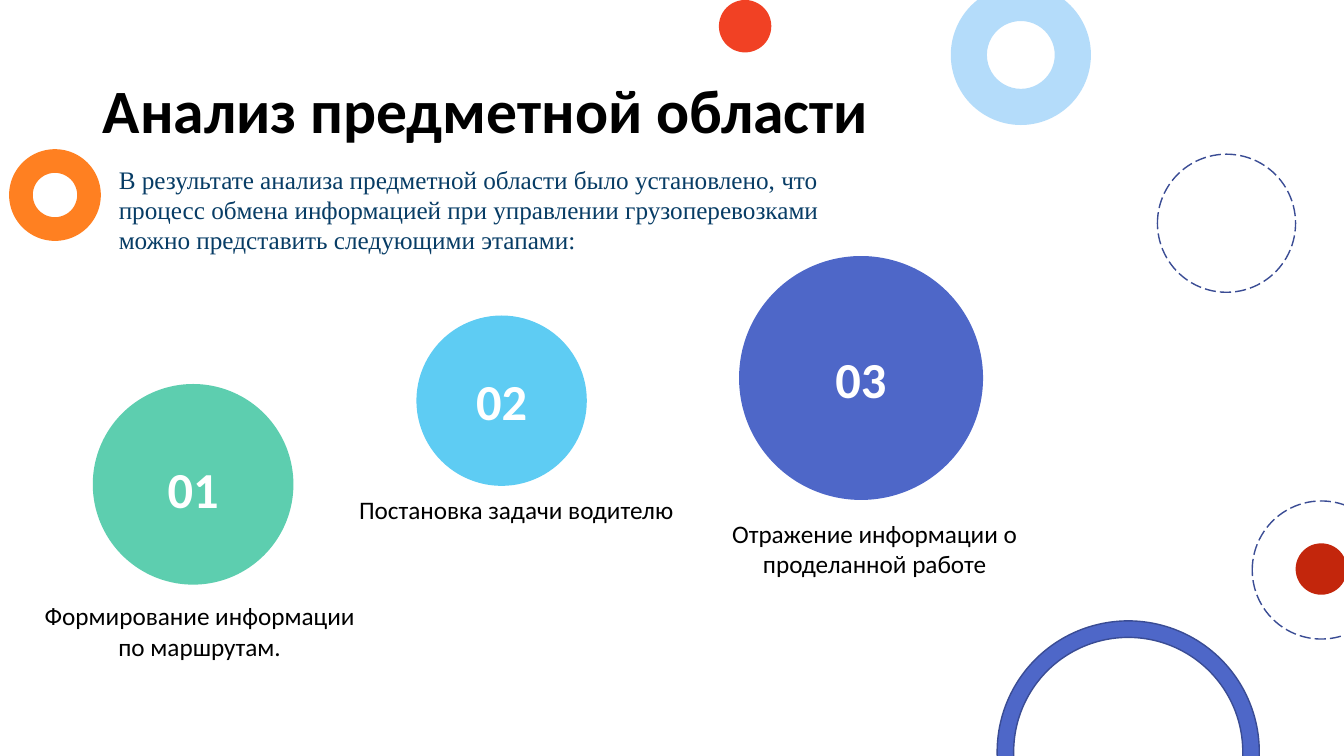
"""Build the slide on the analysis of the subject area."""
from dataclasses import dataclass

from pptx import Presentation
from pptx.dml.color import RGBColor
from pptx.enum.dml import MSO_LINE
from pptx.enum.shapes import MSO_SHAPE
from pptx.enum.text import MSO_ANCHOR, MSO_AUTO_SIZE, PP_ALIGN
from pptx.util import Inches, Pt

OVAL, RING = MSO_SHAPE.OVAL, MSO_SHAPE.DONUT
DASH = MSO_LINE.LONG_DASH
LEFT, MID = PP_ALIGN.LEFT, PP_ALIGN.CENTER
TOP, CENTER = MSO_ANCHOR.TOP, MSO_ANCHOR.MIDDLE
FIXED = MSO_AUTO_SIZE.NONE


@dataclass(frozen=True)
class Theme:
    sans: str = "Calibri"
    serif: str = "Times New Roman"
    head: int = 44
    mark: int = 36
    body: int = 18
    black: str = "000000"
    white: str = "FFFFFF"
    navy: str = "073C65"
    edge: str = "3A4C94"
    sky: str = "5ECCF3"
    mint: str = "5DCEAF"
    blue: str = "4E67C8"
    red: str = "F14124"
    brick: str = "C3260C"
    amber: str = "FF8021"
    pale: str = "B4DCFA"


THEME = Theme()
SIZE = (13.33, 7.5)
TITLE = ("Анализ предметной области", (0.92, 0.4, 11.5, 1.45))
INTRO = (
    "В результате анализа предметной области было установлено, что "
    "процесс обмена информацией при управлении грузоперевозками "
    "можно представить следующими этапами:",
    (1.08, 1.58, 7.34, 1.31),
)
MARK = (0.93, 0.71)
STEPS = [
    {"disc": (0.92, 3.81, 1.99), "fill": THEME.mint, "mark": 4.5,
     "text": "Формирование информации по маршрутам.",
     "box": (0.29, 5.91, 3.38, 1.01)},
    {"disc": (4.13, 3.13, 1.69), "fill": THEME.sky, "mark": 3.62,
     "text": "Постановка задачи водителю",
     "box": (3.36, 4.85, 3.52, 0.4)},
    {"disc": (7.33, 2.54, 2.42), "fill": THEME.blue, "mark": 3.4,
     "text": "Отражение информации о проделанной работе",
     "box": (7.16, 5.09, 3.03, 0.71)},
]
DECOR = [
    {"disc": (7.13, 0, 0.52), "fill": THEME.red},
    {"disc": (9.89, 6.16, 2.6), "fill": THEME.blue, "line": THEME.edge, "hole": 0.063},
    {"disc": (0.09, 1.48, 0.91), "fill": THEME.amber, "hole": 0.258},
    {"disc": (9.43, -0.15, 1.39), "fill": THEME.pale, "hole": 0.258},
    {"disc": (11.48, 1.53, 1.37), "line": THEME.edge, "dash": DASH},
    {"disc": (12.42, 4.97, 1.37), "line": THEME.edge, "dash": DASH},
    {"disc": (12.85, 5.39, 0.51), "fill": THEME.brick},
]


def color(code):
    """Turn a hex code into a colour."""
    return RGBColor.from_string(code)


def add_disc(slide, disc, fill=None, line=None, dash=None, hole=None):
    """Draw a round shape, with a hole if one is given."""
    left, top, side = map(Inches, disc)
    kind = RING if hole else OVAL
    shape = slide.shapes.add_shape(kind, left, top, side, side)
    shape.shadow.inherit = False
    if hole:
        shape.adjustments[0] = hole
    if fill:
        shape.fill.solid()
        shape.fill.fore_color.rgb = color(fill)
    else:
        shape.fill.background()
    if line:
        shape.line.color.rgb = color(line)
        shape.line.width = Pt(1)
        shape.line.dash_style = dash
    else:
        shape.line.fill.background()


def add_text(slide, text, box, holder=None, font=THEME.sans, size=THEME.body,
             tint=THEME.black, bold=False, align=MID, anchor=TOP, space=1.0):
    """Write text in a new box or in a given placeholder."""
    left, top, width, height = map(Inches, box)
    shape = holder or slide.shapes.add_textbox(left, top, width, height)
    shape.left, shape.top, shape.width, shape.height = left, top, width, height
    frame = shape.text_frame
    frame.word_wrap = True
    frame.auto_size = FIXED
    frame.vertical_anchor = anchor
    para = frame.paragraphs[0]
    para.alignment = align
    para.line_spacing = space
    run = para.add_run()
    run.text = text
    run.font.name = font
    run.font.size = Pt(size)
    run.font.bold = bold
    run.font.color.rgb = color(tint)


def main():
    """Lay out the slide and save it."""
    deck = Presentation()
    deck.slide_width, deck.slide_height = map(Inches, SIZE)
    slide = deck.slides.add_slide(deck.slide_layouts[5])
    add_text(slide, *TITLE, holder=slide.shapes.title, size=THEME.head,
             bold=True, align=LEFT, anchor=CENTER, space=0.9)
    for step in STEPS:
        add_disc(slide, step["disc"], fill=step["fill"])
        add_text(slide, step["text"], step["box"])
    for item in DECOR:
        add_disc(slide, **item)
    width, height = MARK
    for num, step in enumerate(STEPS, 1):
        left, _, side = step["disc"]
        box = (left + (side - width) / 2, step["mark"], width, height)
        add_text(slide, f"{num:02}", box, size=THEME.mark, tint=THEME.white, bold=True)
    add_text(slide, *INTRO, font=THEME.serif, tint=THEME.navy, align=LEFT)
    deck.save("out.pptx")


if __name__ == "__main__":
    main()
